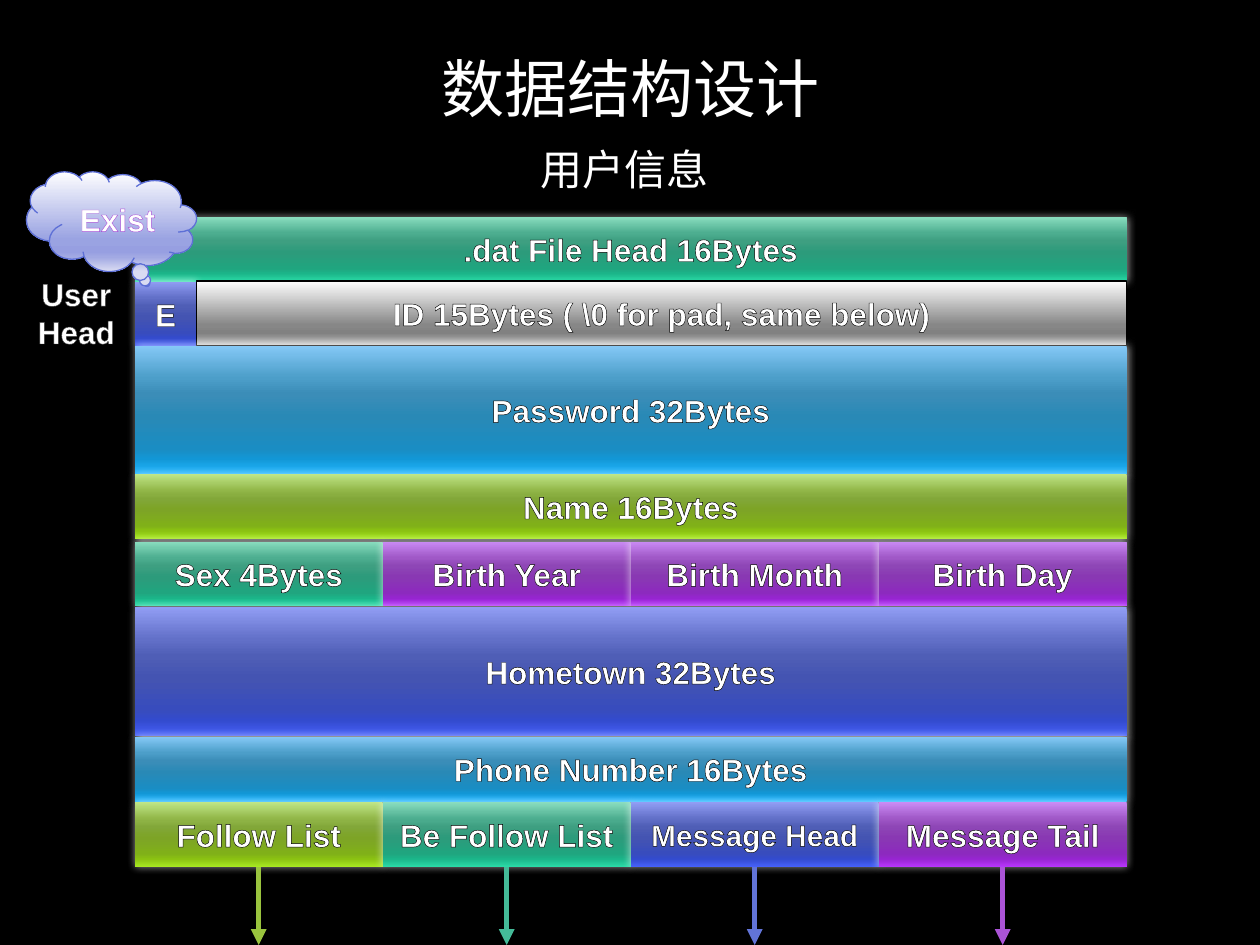
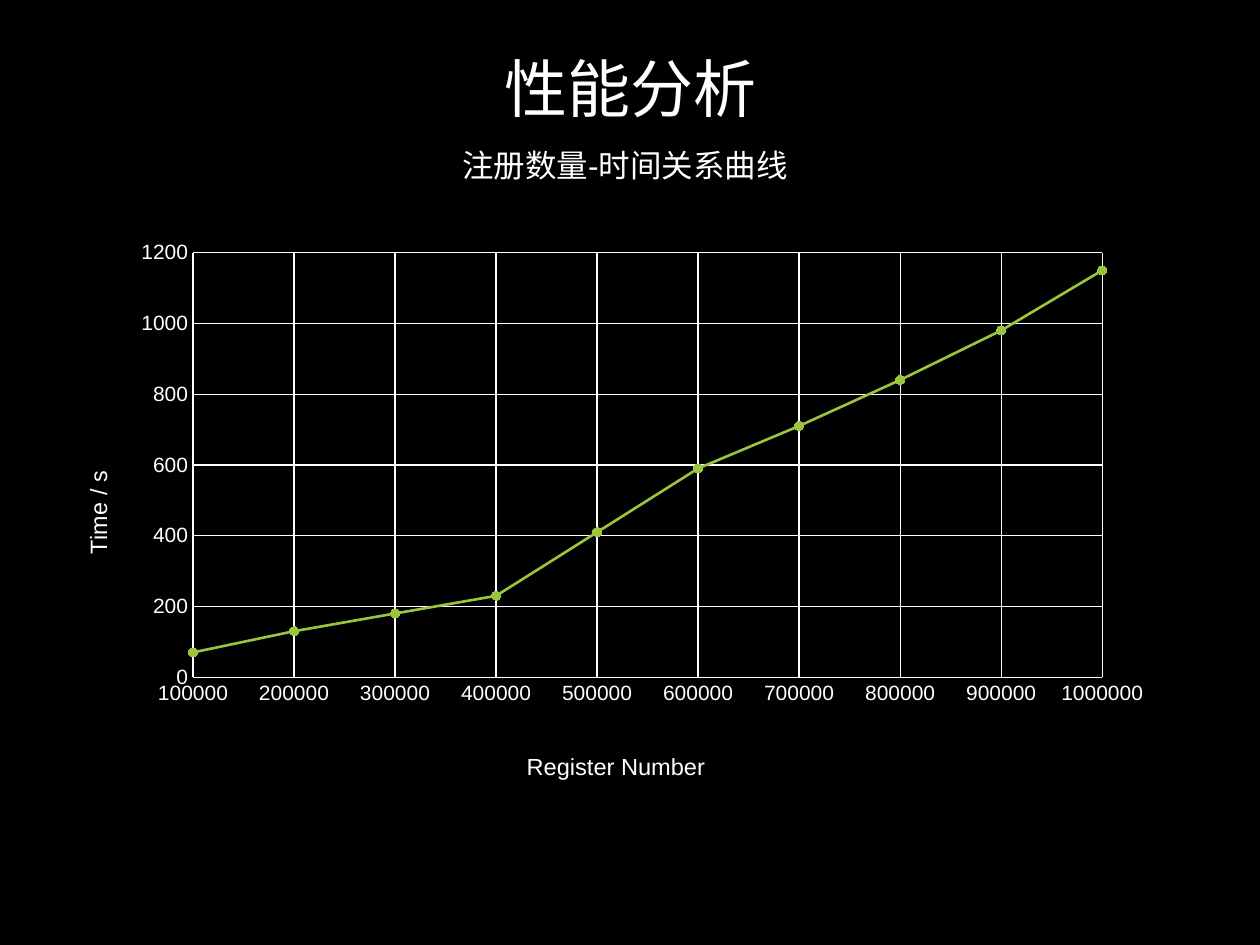
from lxml.etree import SubElement
from pptx import Presentation
from pptx.chart.data import XyChartData
from pptx.dml.color import RGBColor
from pptx.enum.chart import XL_CHART_TYPE as ChartType, XL_MARKER_STYLE as Marker
from pptx.enum.chart import XL_TICK_MARK as TickMark
from pptx.enum.shapes import MSO_CONNECTOR as Connector, MSO_SHAPE as Shape
from pptx.enum.text import MSO_ANCHOR as Anchor, PP_ALIGN as Align
from pptx.oxml import parse_xml
from pptx.oxml.ns import nsdecls, qn
from pptx.util import Pt

WHITE, BLACK = "FFFFFF", "000000"
BODY_FONT, TITLE_FONT = "Arial", "Montserrat"

GLOSSY_STOPS = (0, 25, 38, 55, 80, 88, 100)
METAL_STOPS = (0, 68, 81, 86, 100)
GLOSSY = {
    "teal": "8ADDBF 4DAE90 3E9F81 2C9B7B 20A57F 1BB589 2ADAA6",
    "indigo": "919DF4 6270C8 4F5EB6 4454B2 384CBD 334BCE 4660F8",
    "blue": "85C9F7 4C9EC9 3B8DB8 2989B6 1A8DC3 1297D6 23B7FF",
    "green": "C0E687 92B749 82A739 7DA426 80B019 8AC112 A8E821",
    "purple": "CA8BF4 A058C7 8E46B6 8938B3 8C2ABE 9625D0 B735FA",
}
CLOUD_COLOURS = "FEFEFF 9AA3E2 979FE1 A2A9E3 D9DBF2"
ID_COLOURS = "FEFEFE 878787 818181 909090 D3D3D3"
ACCENT = {"green": "9AC43E", "teal": "44BA98", "indigo": "6274D8", "purple": "AB54D7"}

RECORD_LEFT, RECORD_WIDTH = 77, 566.8
ROW_HEIGHT = 36.8
E_WIDTH = 35.3
ID_TOP = 160.6
POINTERS_TOP = 458.5

# Top, height in rows, and the fields that share the width equally
RECORD_ROWS = [
    (197.5, 2, [("Password 32Bytes", "blue")]),
    (271, 1, [("Name 16Bytes", "green")]),
    (309.5, 1, [("Sex 4Bytes", "teal"), ("Birth Year", "purple"),
                ("Birth Month", "purple"), ("Birth Day", "purple")]),
    (347, 2, [("Hometown 32Bytes", "indigo")]),
    (421, 1, [("Phone Number 16Bytes", "blue")]),
    (POINTERS_TOP, 1, [("Follow List", "green"), ("Be Follow List", "teal"),
                       ("Message Head", "indigo"), ("Message Tail", "purple")]),
]
REGISTER_TIMES = [70, 130, 180, 230, 410, 590, 710, 840, 980, 1150]


def rgb(colour):
    return RGBColor.from_string(colour)


def points(*lengths):
    return [Pt(length) for length in lengths]


def style_font(font, size, colour=WHITE, name=BODY_FONT, bold=False):
    font.size, font.name, font.bold = Pt(size), name, bold
    font.color.rgb = rgb(colour)


def outline_text(span, colour, width):
    props = span.font._element
    props.insert(0, parse_xml(
        f'<a:ln {nsdecls("a")} w="{Pt(width)}"><a:solidFill>'
        f'<a:srgbClr val="{colour}"/></a:solidFill></a:ln>'))


def write(frame, text, size=18, name=BODY_FONT, bold=False, align=None,
          outline=None, outline_width=0.8, line_spacing=None):
    """Fill a text frame, one paragraph for each line of the text."""
    for index, line in enumerate(text.split("\n")):
        para = frame.add_paragraph() if index else frame.paragraphs[0]
        para.alignment, para.line_spacing = align, line_spacing
        span = para.add_run()
        span.text = line
        style_font(span.font, size, name=name, bold=bold)
        if outline:
            outline_text(span, outline, outline_width)


def add_text(page, text, left, top, width, height, wrap=True, **style):
    box = page.shapes.add_textbox(*points(left, top, width, height))
    box.text_frame.word_wrap = wrap
    write(box.text_frame, text, **style)


def add_page(deck, title):
    page = deck.slides.add_slide(deck.slide_layouts[5])
    box = page.shapes.title
    box.left, box.top, box.width, box.height = points(54, -10.5, 612, 126)
    box.text_frame.vertical_anchor = Anchor.MIDDLE
    write(box.text_frame, title, size=36, name=TITLE_FONT, align=Align.CENTER,
          line_spacing=0.9)
    return page


def fill_gradient(shape, positions, colours):
    shape.fill.gradient()
    shape.fill.gradient_angle = 270
    stops = shape._element.spPr.find(".//" + qn("a:gsLst"))
    for stop in list(stops):
        stops.remove(stop)
    for position, colour in zip(positions, colours.split()):
        stop = SubElement(stops, qn("a:gs"), pos=str(position * 1000))
        SubElement(stop, qn("a:srgbClr"), val=colour)


def add_halo(shape):
    effects = shape._element.spPr.find(qn("a:effectLst"))
    effects.append(parse_xml(
        f'<a:outerShdw {nsdecls("a")} blurRad="{Pt(5)}" dist="0" algn="ctr" '
        'rotWithShape="0"><a:srgbClr val="FFFFFF"><a:alpha val="60000"/>'
        '</a:srgbClr></a:outerShdw>'))


def add_label_shape(page, kind, text, left, top, width, height, positions, colours,
                    line=None, outline=BLACK, size=18):
    shape = page.shapes.add_shape(kind, *points(left, top, width, height))
    shape.shadow.inherit = False
    fill_gradient(shape, positions, colours)
    if line:
        shape.line.color.rgb = rgb(line)
        shape.line.width = Pt(0.75)
    else:
        shape.line.fill.background()
    shape.text_frame.vertical_anchor = Anchor.MIDDLE
    write(shape.text_frame, text, size=size, bold=True, align=Align.CENTER,
          outline=outline)
    return shape


def add_field(page, text, hue, left, top, width, height=ROW_HEIGHT):
    """Add a glossy field of the record with a light halo."""
    size = 17 if text == "Message Head" else 18
    field = add_label_shape(page, Shape.RECTANGLE, text, left, top, width, height,
                            GLOSSY_STOPS, GLOSSY[hue], size=size)
    add_halo(field)


def add_down_arrow(page, x, top, bottom, colour):
    arrow = page.shapes.add_connector(Connector.STRAIGHT, *points(x, top, x, bottom))
    arrow.line.color.rgb = rgb(colour)
    arrow.line.width = Pt(3)
    SubElement(arrow.line._get_or_add_ln(), qn("a:tailEnd"), type="triangle")
    SubElement(arrow._element.spPr, qn("a:effectLst"))


def add_user_head(page):
    add_field(page, ".dat File Head 16Bytes", "teal", RECORD_LEFT, 124, RECORD_WIDTH)
    add_field(page, "E", "indigo", RECORD_LEFT, 161, E_WIDTH)
    cloud = add_label_shape(page, Shape.CLOUD_CALLOUT, "Exist", 15.1, 98, 97.2, 57,
                            METAL_STOPS, CLOUD_COLOURS, line="5D6FD6",
                            outline=ACCENT["purple"])
    cloud._element.spPr.xfrm.set("flipH", "1")
    add_label_shape(page, Shape.RECTANGLE, "ID 15Bytes ( \\0 for pad, same below)",
                    RECORD_LEFT + E_WIDTH, ID_TOP, RECORD_WIDTH - E_WIDTH, ROW_HEIGHT,
                    METAL_STOPS, ID_COLOURS, line=BLACK)


def build_structure_page(deck):
    page = add_page(deck, "数据结构设计")
    add_text(page, "用户信息", 301.7, 78.5, 193, 36, size=24)
    add_user_head(page)
    for top, rows, fields in RECORD_ROWS:
        width = RECORD_WIDTH / len(fields)
        for column, (text, hue) in enumerate(fields):
            add_field(page, text, hue, RECORD_LEFT + column * width, top, width,
                      rows * ROW_HEIGHT)
    pointers = RECORD_ROWS[-1][2]
    width = RECORD_WIDTH / len(pointers)
    for column, (_, hue) in enumerate(pointers):
        add_down_arrow(page, RECORD_LEFT + (column + 0.5) * width,
                       POINTERS_TOP + ROW_HEIGHT, 540, ACCENT[hue])
    add_text(page, "User\nHead", 12.3, 153.4, 62.6, 51, wrap=False, bold=True,
             align=Align.CENTER, outline="404040", outline_width=0.75)


def manual_layout(**values):
    """Make a chart layout element from fractions of the chart's size."""
    items = "".join(f'<c:{name} val="{value}"/>' for name, value in values.items())
    return parse_xml(f'<c:layout {nsdecls("c")}><c:manualLayout>{items}'
                     '</c:manualLayout></c:layout>')


def drop_layout(element):
    for layout in element.findall(qn("c:layout")):
        element.remove(layout)


def style_axis(axis, title, x, y, rotation=0):
    axis.major_tick_mark = axis.minor_tick_mark = TickMark.NONE
    axis.has_major_gridlines = True
    for line in (axis.format.line, axis.major_gridlines.format.line):
        line.color.rgb = rgb(WHITE)
        line.width = Pt(0.75)
    style_font(axis.tick_labels.font, 12)
    frame = axis.axis_title.text_frame
    write(frame, title, size=13.5)
    frame._txBody.bodyPr.set("rot", str(rotation * 60000))
    frame._txBody.bodyPr.set("vert", "horz")
    element = axis.axis_title._element
    drop_layout(element)
    element.find(qn("c:tx")).addnext(
        manual_layout(xMode="edge", yMode="edge", x=x, y=y))


def add_time_chart(page):
    data = XyChartData()
    series_data = data.add_series("Series 1")
    for index, seconds in enumerate(REGISTER_TIMES, start=1):
        series_data.add_data_point(index * 100000, seconds)
    chart = page.shapes.add_chart(ChartType.XY_SCATTER_SMOOTH,
                                  *points(32.4, 132.5, 633.6, 317.5), data).chart
    chart.has_legend = chart.has_title = False
    style_font(chart.font, 10)

    numbers, times = chart.category_axis, chart.value_axis
    numbers.minimum_scale, numbers.maximum_scale = 100000, 1000000
    numbers.major_unit = 100000
    times.minimum_scale, times.maximum_scale, times.major_unit = 0, 1200, 200
    style_axis(numbers, "Register Number", 0.42, 0.94)
    style_axis(times, "Time / s", 0.02, 0.43, rotation=-90)

    series = chart.plots[0].series[0]
    series.smooth = True
    series.format.line.color.rgb = rgb(ACCENT["green"])
    series.format.line.width = Pt(1.5)
    marker = series.marker
    marker.style, marker.size = Marker.CIRCLE, 5
    marker.format.fill.solid()
    marker.format.fill.fore_color.rgb = rgb(ACCENT["green"])
    marker.format.line.color.rgb = rgb(ACCENT["green"])

    plot_area = chart._chartSpace.chart.plotArea
    drop_layout(plot_area)
    plot_area.insert(0, manual_layout(layoutTarget="inner", xMode="edge", yMode="edge",
                                      x=0.123, y=0.038, w=0.82, h=0.774))


def build_performance_page(deck):
    page = add_page(deck, "性能分析")
    add_time_chart(page)
    add_text(page, "注册数量-时间关系曲线", 257, 80, 242.6, 29)


def main():
    deck = Presentation()
    deck.slide_width, deck.slide_height = points(720, 540)
    background = deck.slide_master.background.fill
    background.solid()
    background.fore_color.rgb = rgb(BLACK)
    build_structure_page(deck)
    build_performance_page(deck)
    deck.save("out.pptx")


if __name__ == "__main__":
    main()
